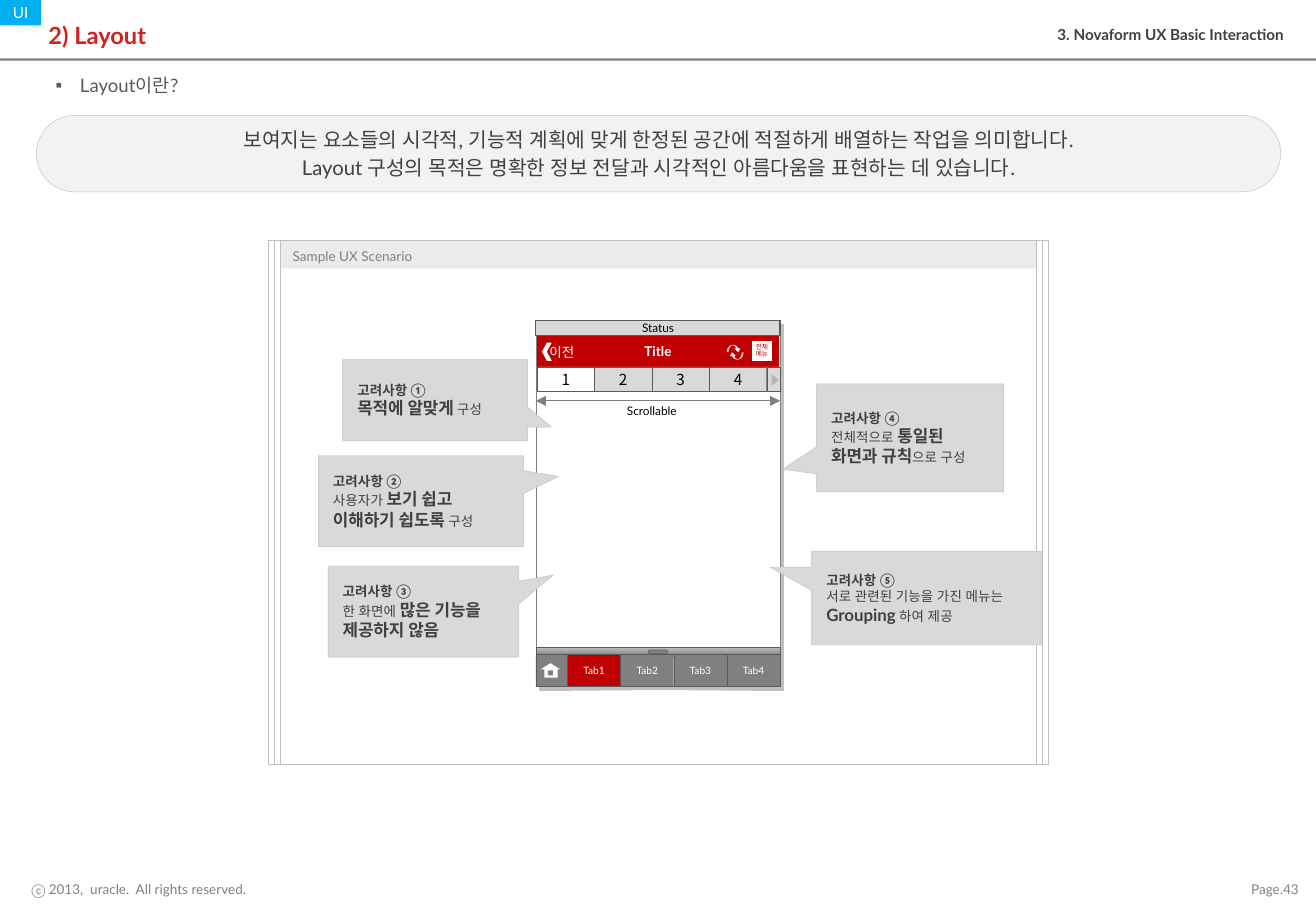
from lxml import etree
from pptx import Presentation
from pptx.dml.color import RGBColor
from pptx.enum.shapes import MSO_CONNECTOR, MSO_SHAPE
from pptx.enum.text import MSO_ANCHOR, PP_ALIGN
from pptx.oxml.ns import qn
from pptx.util import Inches, Pt

UNIT = Inches(0.01)
COLS, ROWS = 1083, 750
LATO, ARIAL, NOTO = "Lato", "Arial", "Noto Sans CJK KR"
RECT, ROUND = MSO_SHAPE.RECTANGLE, MSO_SHAPE.ROUNDED_RECTANGLE
CALLOUT, PLATE = MSO_SHAPE.RECTANGULAR_CALLOUT, MSO_SHAPE.PENTAGON
CURVED, CHEVRON = MSO_SHAPE.CURVED_DOWN_ARROW, MSO_SHAPE.CHEVRON
TRIANGLE, STRAIGHT = MSO_SHAPE.ISOSCELES_TRIANGLE, MSO_CONNECTOR.STRAIGHT
LEFT, CENTER, RIGHT = PP_ALIGN.LEFT, PP_ALIGN.CENTER, PP_ALIGN.RIGHT
TOP, MIDDLE = MSO_ANCHOR.TOP, MSO_ANCHOR.MIDDLE

BLACK = RGBColor(0x00, 0x00, 0x00)
WHITE = RGBColor(0xFF, 0xFF, 0xFF)
INK = RGBColor(0x40, 0x40, 0x40)
DARK = RGBColor(0x59, 0x59, 0x59)
GRAY = RGBColor(0x80, 0x80, 0x80)
MID = RGBColor(0xA6, 0xA6, 0xA6)
EDGE = RGBColor(0xBF, 0xBF, 0xBF)
LIGHT = RGBColor(0xD9, 0xD9, 0xD9)
PALE = RGBColor(0xF2, 0xF2, 0xF2)
RED = RGBColor(0xC0, 0x00, 0x00)
TITLE_RED = RGBColor(0xD5, 0x21, 0x1D)
BLUE = RGBColor(0x00, 0xB0, 0xF0)


def child(parent, tag, **attrs):
    return etree.SubElement(parent, qn(tag), attrs)


def shape(s, kind, x, y, w, h, fill=None, line=None, width=0.25, adj=(), alpha=None, turn=0):
    sp = s.shapes.add_shape(kind, *(round(v * UNIT) for v in (x, y, w, h)))
    sp.shadow.inherit = False
    sp.rotation = turn
    for i, value in enumerate(adj):
        sp.adjustments[i] = value
    if fill is None:
        sp.fill.background()
    else:
        sp.fill.solid()
        sp.fill.fore_color.rgb = fill
        if alpha:
            color = sp._element.spPr.find(qn("a:solidFill"))[0]
            child(color, "a:alpha", val=str(alpha * 1000))
    if line is None:
        sp.line.fill.background()
    else:
        sp.line.color.rgb = line
        sp.line.width = Pt(width)
    return sp


def write(sp, paras, size, color, bold=False, font=LATO, align=CENTER, anchor=MIDDLE,
          inset=(0, 0), wrap=False, spacing=None, before=0):
    tf = sp.text_frame
    tf.word_wrap, tf.vertical_anchor = wrap, anchor
    tf.margin_left = tf.margin_right = inset[0] * UNIT
    tf.margin_top = tf.margin_bottom = inset[1] * UNIT
    for i, runs in enumerate(paras):
        p = tf.paragraphs[0] if i == 0 else tf.add_paragraph()
        p.alignment = align
        if spacing:
            p.line_spacing = spacing
        if i and before:
            p.space_before = Pt(before)
        for run in runs:
            text, run_size, run_bold = (run, size, bold) if isinstance(run, str) else run
            r = p.add_run()
            r.text = text
            r.font.size, r.font.bold, r.font.name = Pt(run_size), run_bold, font
            r.font.color.rgb = color
            child(r._r.get_or_add_rPr(), "a:ea", typeface=font)
    return tf


def label(s, x, y, w, h, text, size, color, **style):
    sp = s.shapes.add_textbox(*(round(v * UNIT) for v in (x, y, w, h)))
    return write(sp, [[text]], size, color, **style)


def header(s, x, y, w, h):
    shape(s, RECT, x, y + h - 2, w, 2, GRAY)
    write(shape(s, RECT, x, y, 34, 21, BLUE), [["UI"]], 9, WHITE)
    label(s, x + 30, y + 8, w - 50, 41, "2) Layout", 14, TITLE_RED, bold=True,
          align=LEFT, inset=(10, 5), wrap=True)
    label(s, x + w - 395, y + 16, 378, 28, "3. Novaform UX Basic Interaction", 9, INK,
          bold=True, align=RIGHT, anchor=TOP, inset=(10, 5), wrap=True)


def summary(s, x, y, w, h):
    tf = label(s, x + 6, y, w - 85, 28, "Layout이란?", 11, DARK,
               align=LEFT, inset=(10, 5), wrap=True)
    pPr = tf.paragraphs[0]._p.get_or_add_pPr()
    pPr.set("marL", str(20 * UNIT))
    pPr.set("indent", str(-20 * UNIT))
    child(pPr, "a:buFont", typeface=ARIAL)
    child(pPr, "a:buChar", char="▪")
    pill = shape(s, ROUND, x, y + h - 63, w, 63, PALE, EDGE, adj=[0.5])
    write(pill, [
        ["보여지는 요소들의 시각적, 기능적 계획에 맞게 한정된 공간에 적절하게 배열하는 작업을 의미합니다."],
        ["Layout 구성의 목적은 명확한 정보 전달과 시각적인 아름다움을 표현하는 데 있습니다."],
    ], 12, INK, wrap=True, before=2.4)


def scenario_frame(s, x, y, w, h):
    bar = shape(s, RECT, x + 10, y, w - 20, 23, LIGHT, alpha=50)
    write(bar, [["Sample UX Scenario"]], 8, GRAY, align=LEFT, inset=(10, 5), wrap=True, spacing=1.2)
    for step in (10, 5, 0):
        shape(s, RECT, x + step, y, w - 2 * step, h, line=EDGE)


def title_bar(s, x, y, w, h):
    write(shape(s, RECT, x, y, w, h, RED), [["Title"]], 8, WHITE, bold=True)
    menu = shape(s, RECT, x + w - 22, y + 5, 16, 16, WHITE, WHITE)
    write(menu, [["전체"], ["메뉴"]], 4, RED, spacing=0.9)
    for dx, dy, turn in ((0, 0, 0), (2, 6, 180)):
        shape(s, CURVED, x + w - 43 + dx, y + 8 + dy, 12, 6, WHITE,
              adj=[0.25, 0.83, 0.53], turn=turn)
    label(s, x + 10, y + 3, 35, 21, "이전", 8, WHITE, font=ARIAL, align=LEFT)
    shape(s, CHEVRON, x + 4, y + 6, 8, 15, WHITE, turn=180)


def scroll_tabs(s, x, y, w, h):
    more = 11
    tab = (w - more) / 4
    for i in range(4):
        cell = shape(s, RECT, x + i * tab, y, tab, h, LIGHT if i else WHITE, DARK)
        write(cell, [[str(i + 1)]], 9, BLACK, font=NOTO)
    shape(s, RECT, x + w - more, y, more, h, LIGHT, DARK)
    shape(s, PLATE, x + w - 7, y + 6, 6, 10, MID, adj=[1], alpha=70)


def scroll_range(s, x, y, w):
    line = s.shapes.add_connector(STRAIGHT, *(round(v * UNIT) for v in (x, y, x + w, y)))
    line.line.color.rgb, line.line.width = GRAY, Pt(0.75)
    ln = line.line._get_or_add_ln()
    for end in ("a:headEnd", "a:tailEnd"):
        child(ln, end, type="triangle")
    child(line._element.spPr, "a:effectLst")
    label(s, x + 75, y + 2, 51, 12, "Scrollable", 7, BLACK, align=LEFT, anchor=TOP)


def bottom_tabs(s, x, y, w, h):
    handle = shape(s, RECT, x, y, w, 7, GRAY, DARK)
    handle.fill.gradient()
    handle.fill.gradient_angle = 90
    for stop, color in zip(handle.fill.gradient_stops, (GRAY, EDGE)):
        stop.color.rgb = color
    shape(s, ROUND, x + w / 2 - 8, y + 2, 16, 3, GRAY, DARK, adj=[0.5])
    top, home = y + 6, 26
    tab = (w - home) / 4
    for i in range(4):
        cell = shape(s, RECT, x + home + i * tab, top, tab, h - 6, GRAY if i else RED, DARK)
        write(cell, [[f"Tab{i + 1}"]], 6, WHITE)
    shape(s, RECT, x, top, home, h - 6, GRAY, DARK)
    shape(s, TRIANGLE, x + 4, top + 7, 16, 5, WHITE)
    shape(s, RECT, x + 7, top + 11, 11, 8, WHITE)
    shape(s, RECT, x + 10, top + 13, 4, 4, GRAY)


def phone(s, x, y, w, h):
    body = shape(s, RECT, x, y, w, h, WHITE, GRAY)
    effects = body._element.spPr.find(qn("a:effectLst"))
    shadow = child(effects, "a:outerShdw", dist=str(Pt(3)), dir="2700000", algn="tl")
    child(shadow, "a:srgbClr", val=str(EDGE))
    title_bar(s, x + 1, y + 12, w - 2, 27)
    status = shape(s, RECT, x, y, w, 12, LIGHT, DARK, width=0.75)
    write(status, [["Status"]], 7, BLACK)
    bottom_tabs(s, x, y + h - 32, w, 32)
    scroll_range(s, x, y + 66, w)
    scroll_tabs(s, x + 1, y + 38, w - 1, 20)


def callout(s, x, y, w, h, tip, number, runs):
    sp = shape(s, CALLOUT, x, y, w, h, LIGHT, EDGE, adj=tip)
    write(sp, [[(f"고려사항 {number}", 8, True)], runs], 8, INK,
          align=LEFT, inset=(12, 5), wrap=True)


def footer(s, x, y, w, h):
    label(s, x, y, 206, h, "ⓒ 2013,  uracle.  All rights reserved.", 8, GRAY,
          align=RIGHT, inset=(9, 4))
    label(s, x + w - 60, y, 60, h, "Page.43", 8, GRAY, align=RIGHT, inset=(9, 4))


CALLOUTS = [
    (262, 375, 169, 75, (0.67, -0.27), "②",
     ["사용자가 ", ("보기 쉽고 이해하기 쉽도록", 10, True), " 구성"]),
    (270, 466, 157, 75, (0.68, -0.4), "③",
     ["한 화면에 ", ("많은 기능을 제공하지 않음", 10, True)]),
    (672, 316, 154, 89, (-0.68, 0.29), "④",
     ["전체적으로 ", ("통일된 화면과 규칙", 10, True), "으로 구성"]),
    (668, 454, 189, 77, (-0.68, -0.33), "⑤",
     ["서로 관련된 기능을 가진 메뉴는 ", ("Grouping", 10, True), " 하여 제공"]),
    (282, 296, 152, 67, (0.63, 0.33), "①",
     [("목적에 알맞게", 10, True), " 구성"]),
]


def main():
    prs = Presentation()
    prs.slide_width, prs.slide_height = COLS * UNIT, ROWS * UNIT
    s = prs.slides.add_slide(prs.slide_layouts[6])
    header(s, 0, 0, COLS, 50)
    summary(s, 30, 56, 1024, 102)
    scenario_frame(s, 221, 198, 642, 431)
    phone(s, 441, 264, 201, 301)
    for item in CALLOUTS:
        callout(s, *item)
    footer(s, 6, 721, 1072, 22)
    prs.save("out.pptx")


if __name__ == "__main__":
    main()
